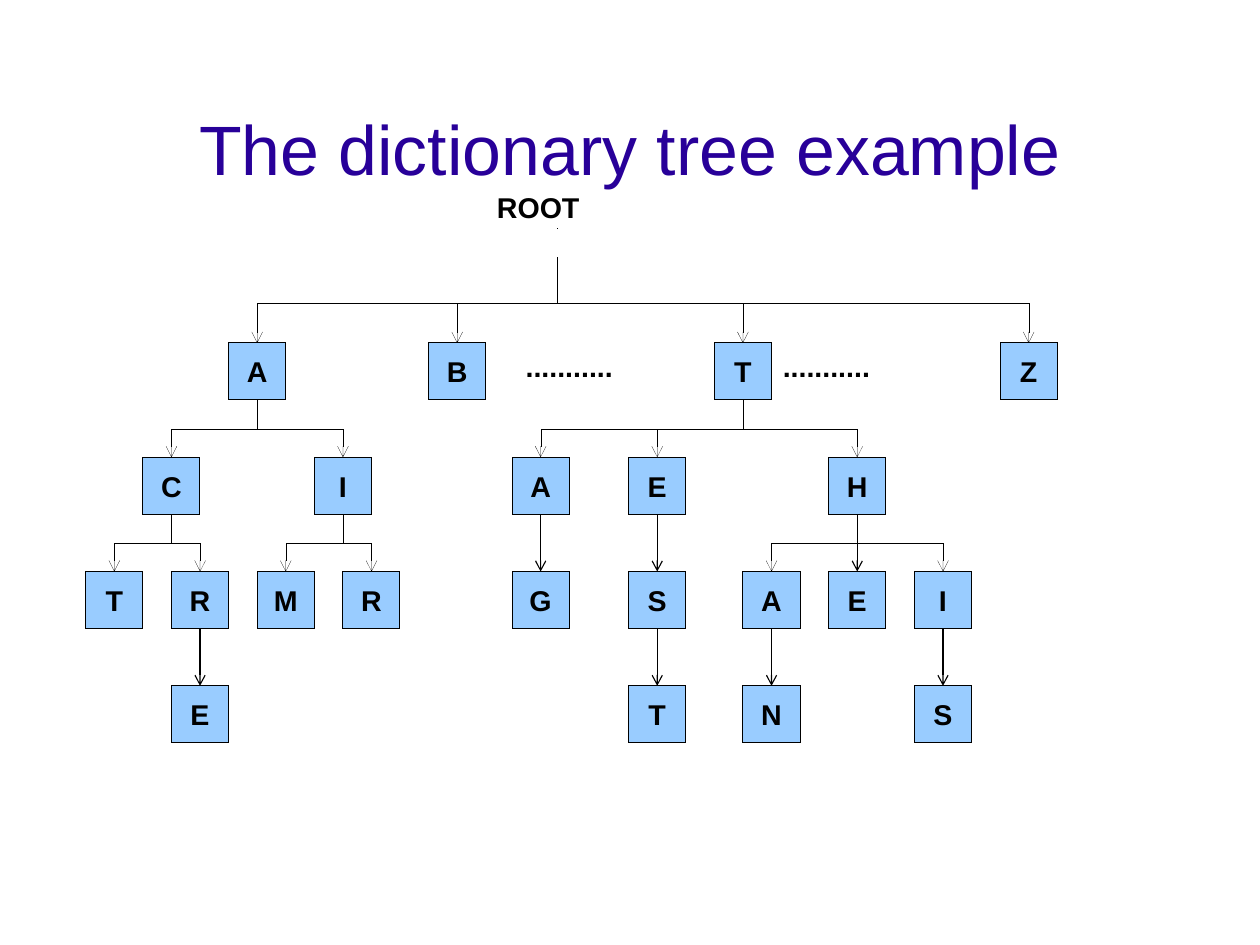
from pptx import Presentation
from pptx.dml.color import RGBColor
from pptx.enum.shapes import MSO_CONNECTOR, MSO_SHAPE
from pptx.enum.text import MSO_ANCHOR, MSO_AUTO_SIZE, PP_ALIGN
from pptx.oxml.ns import qn
from pptx.util import Cm, Inches, Pt
from lxml.etree import SubElement

COLORS = {"title": "280099", "node": "99CCFF", "ink": "000000"}
BOX = 0.5
FIRST_ROW = 3
ROOT_X, ROOT_TOP, ROOT_BOTTOM = 4.875, 2, 2.25

TREE = [
    ("A", 2, [
        ("C", 1.25, [("T", 0.75, []), ("R", 1.5, [("E", 1.5, [])])]),
        ("I", 2.75, [("M", 2.25, []), ("R", 3, [])]),
    ]),
    ("B", 3.75, []),
    ("T", 6.25, [
        ("A", 4.48, [("G", 4.48, [])]),
        ("E", 5.5, [("S", 5.5, [("T", 5.5, [])])]),
        ("H", 7.25, [
            ("A", 6.5, [("N", 6.5, [])]),
            ("E", 7.25, []),
            ("I", 8, [("S", 8, [])]),
        ]),
    ]),
    ("Z", 8.75, []),
]


class TreeSlide:
    """Style and drawing methods for the dictionary tree slide."""

    def __init__(self, presentation):
        self.slide = presentation.slides.add_slide(presentation.slide_layouts[5])
        self.shapes = self.slide.shapes

    def color(self, name):
        return RGBColor.from_string(COLORS[name])

    def style_text(self, paragraph, size, color, bold, alignment):
        paragraph.alignment = alignment
        font = paragraph.font
        font.name, font.size, font.bold = "Arial", Pt(size), bold
        font.color.rgb = self.color(color)

    def style_line(self, shape, width):
        shape.line.color.rgb = self.color("ink")
        outline = shape._element.spPr.find(qn("a:ln"))
        outline.set("w", str(Pt(width)))
        return outline

    def title(self, text, left, top, width, height):
        title = self.shapes.title
        title.left, title.top = Inches(left), Inches(top)
        title.width, title.height = Inches(width), Inches(height)
        frame = title.text_frame
        frame.text = text
        frame.auto_size = MSO_AUTO_SIZE.NONE
        frame.vertical_anchor = MSO_ANCHOR.MIDDLE
        frame.margin_left = frame.margin_right = 0
        frame.margin_top = frame.margin_bottom = 0
        self.style_text(frame.paragraphs[0], 44, "title", False, PP_ALIGN.CENTER)

    def label(self, text, left, top, width):
        box = self.shapes.add_textbox(Inches(left), Inches(top), Inches(width), Inches(0.4))
        box.text_frame.word_wrap = True
        box.text_frame.text = text
        self.style_text(box.text_frame.paragraphs[0], 18, "ink", True, PP_ALIGN.LEFT)

    def filled_shape(self, kind, left, top, size):
        shape = self.shapes.add_shape(
            kind, Inches(left), Inches(top), Inches(size), Inches(size))
        shape.shadow.inherit = False
        shape.fill.solid()
        shape.fill.fore_color.rgb = self.color("node")
        self.style_line(shape, 0)
        return shape

    def node(self, letter, left, top):
        frame = self.filled_shape(MSO_SHAPE.RECTANGLE, left, top, BOX).text_frame
        frame.text = letter
        frame.vertical_anchor = MSO_ANCHOR.MIDDLE
        self.style_text(frame.paragraphs[0], 18, "ink", True, PP_ALIGN.CENTER)

    def add_arrow(self, kind, start, end, width):
        connector = self.shapes.add_connector(kind, *map(Inches, start + end))
        SubElement(self.style_line(connector, width), qn("a:tailEnd"), type="arrow")
        properties = connector._element.spPr
        SubElement(properties, qn("a:effectLst"))
        return properties

    def straight_arrow(self, x, top, bottom):
        self.add_arrow(MSO_CONNECTOR.STRAIGHT, (x, top), (x, bottom), 0.75)

    def elbow_arrow(self, start_x, top, end_x, bottom, bend):
        drop, run = bottom - top, abs(end_x - start_x)
        left = (start_x + end_x - drop) / 2
        upper = (top + bottom - run) / 2
        properties = self.add_arrow(
            MSO_CONNECTOR.ELBOW, (left, upper), (left + drop, upper + run), 0)
        transform = properties.find(qn("a:xfrm"))
        rightward = end_x > start_x
        transform.set("rot", str((270 if rightward else 90) * 60000))
        if rightward:
            transform.set("flipH", "1")
        guides = properties.find(qn("a:prstGeom")).find(qn("a:avLst"))
        SubElement(guides, qn("a:gd"), name="adj1", fmla=f"val {round(bend * 100000)}")

    def branches(self, children, parent_x, parent_bottom, top, bend=0.5):
        for letter, left, grandchildren in children:
            center = left + BOX / 2
            self.node(letter, left, top)
            if center == parent_x:
                self.straight_arrow(center, parent_bottom, top)
            else:
                self.elbow_arrow(parent_x, parent_bottom, center, top, bend)
            self.branches(grandchildren, center, top + BOX, top + 1)


def main():
    presentation = Presentation()
    presentation.slide_width = Cm(28)
    presentation.slide_height = Cm(21)
    tree = TreeSlide(presentation)
    tree.title("The dictionary tree example", 0.79, 0.65, 9.45, 1.28)
    tree.label("ROOT", 4.25, 1.61, 1)
    tree.filled_shape(MSO_SHAPE.OVAL, ROOT_X, ROOT_TOP, 0)
    tree.branches(TREE, ROOT_X, ROOT_BOTTOM, FIRST_ROW, bend=0.53)
    for left in (4.5, 6.75):
        tree.label("...........", left, FIRST_ROW, 1.75)
    presentation.save("out.pptx")


if __name__ == "__main__":
    main()
